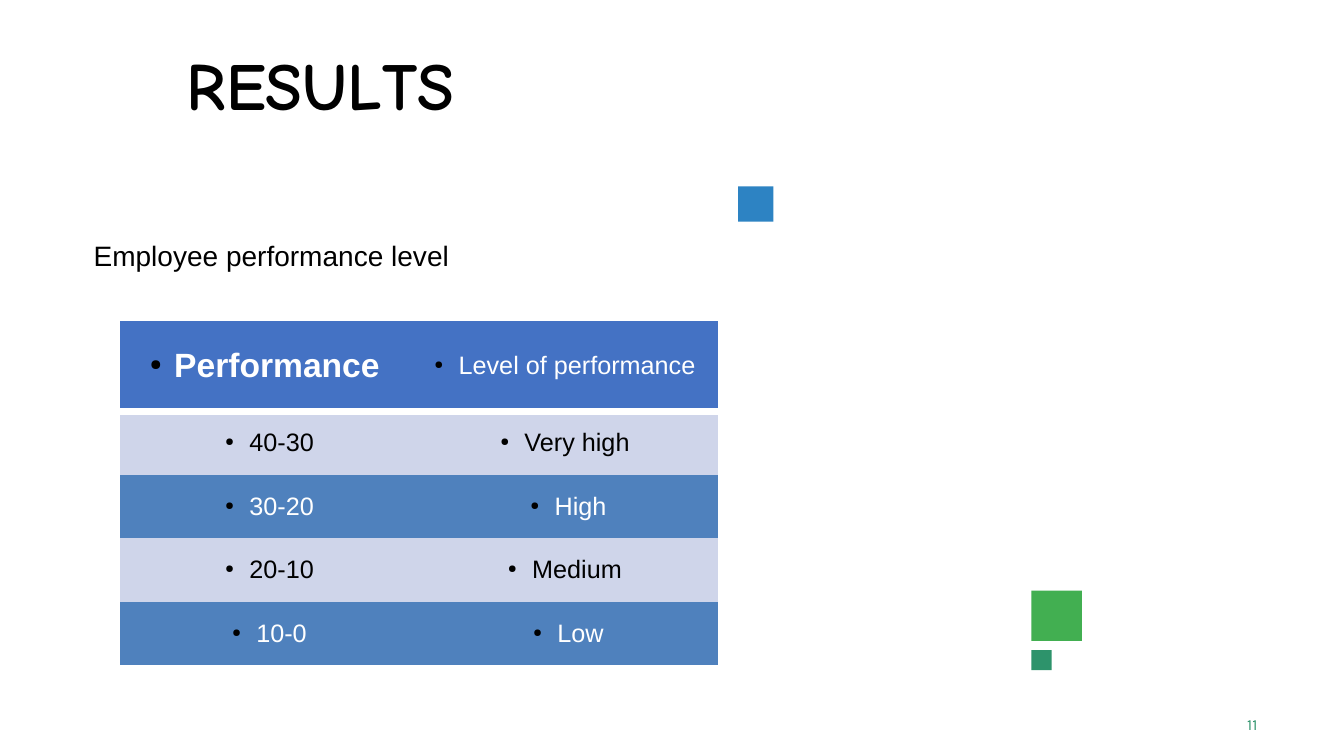
"""Build the employee performance results slide."""
import dataclasses

import lxml.etree
import pptx
import pptx.dml.color
import pptx.enum.shapes
import pptx.enum.text
import pptx.oxml.ns
import pptx.util

PX = 9144
QN = pptx.oxml.ns.qn
NO_GRID_STYLE = "{2D5ABB26-0587-4C30-8999-92F81FD0307C}"


@dataclasses.dataclass(frozen=True)
class Theme:
    """Colours, fonts and type sizes of the slide."""
    ink: str = "000000"
    white: str = "FFFFFF"
    blue: str = "2D83C3"
    green: str = "42AF51"
    teal: str = "2D936B"
    header: str = "4472C4"
    light_row: str = "CFD5EA"
    dark_row: str = "4F81BD"
    title_font: str = "Comic Neue"
    body_font: str = "Arial"
    number_font: str = "Karla"
    title_size: int = 48
    header_size: int = 24
    caption_size: int = 20
    cell_size: int = 18
    number_size: int = 11


THEME = Theme()
TITLE_SPACING = [("R", 0), ("E", -40), ("S", 10), ("U", -30), ("L", -400), ("TS", 0)]
LEVELS = [
    ("Performance ", "Level of performance "),
    ("40-30", "Very high "),
    ("30-20", "High"),
    ("20-10", "Medium "),
    ("10-0", "Low"),
]
SQUARES = [
    ((1023, 586, 50, 50), THEME.green),
    ((732, 185, 35, 35), THEME.blue),
    ((1023, 645, 20, 20), THEME.teal),
]


def emu(box):
    """Turn px lengths into EMU."""
    return [pptx.util.Emu(length * PX) for length in box]


def rgb(colour):
    """Give the RGB colour for a hex string."""
    return pptx.dml.color.RGBColor.from_string(colour)


def set_font(paragraph, name, size, colour, bold=False):
    """Set the font of a paragraph."""
    font = paragraph.font
    font.name, font.size, font.bold = name, pptx.util.Pt(size), bold
    font.color.rgb = rgb(colour)


def set_margins(frame, left, top, right, bottom):
    """Set the insets of a text frame, in px."""
    (frame.margin_left, frame.margin_top,
     frame.margin_right, frame.margin_bottom) = emu((left, top, right, bottom))


def add_square(slide, box, colour):
    """Place one decorative square."""
    square = slide.shapes.add_shape(
        pptx.enum.shapes.MSO_SHAPE.RECTANGLE, *emu(box))
    square.shadow.inherit = False
    square.fill.solid()
    square.fill.fore_color.rgb = rgb(colour)
    square.line.fill.background()


def fill_title(slide, box):
    """Place the title with its letter spacing."""
    title = slide.shapes.title
    title.left, title.top, title.width, title.height = emu(box)
    frame = title.text_frame
    frame.word_wrap = True
    frame.auto_size = pptx.enum.text.MSO_AUTO_SIZE.SHAPE_TO_FIT_TEXT
    frame.vertical_anchor = pptx.enum.text.MSO_ANCHOR.TOP
    set_margins(frame, 0, 1, 0, 0)
    heading = frame.paragraphs[0]
    heading.alignment = pptx.enum.text.PP_ALIGN.CENTER
    heading.space_before = pptx.util.Pt(1.1)
    set_font(heading, THEME.title_font, THEME.title_size, THEME.ink, True)
    for letters, spacing in TITLE_SPACING:
        run = heading.add_run()
        run.text = letters
        run.font._element.set("spc", str(spacing))


def add_label(slide, box, text, margins, font, size, colour):
    """Place a one-line text box."""
    frame = slide.shapes.add_textbox(*emu(box)).text_frame
    frame.word_wrap = True
    frame.auto_size = pptx.enum.text.MSO_AUTO_SIZE.SHAPE_TO_FIT_TEXT
    set_margins(frame, *margins)
    label = frame.paragraphs[0]
    label.text = text
    set_font(label, font, size, colour)


def add_bullet(paragraph):
    """Give a paragraph a small hanging dot."""
    properties = paragraph._p.get_or_add_pPr()
    properties.set("marL", str(24 * PX))
    properties.set("indent", str(-24 * PX))
    colour = lxml.etree.SubElement(properties, QN("a:buClr"))
    lxml.etree.SubElement(colour, QN("a:srgbClr"), val=THEME.ink)
    lxml.etree.SubElement(properties, QN("a:buSzPct"), val="45000")
    lxml.etree.SubElement(properties, QN("a:buChar"), char="●")


def add_bottom_border(cell, colour, points):
    """Draw a line along the bottom of a cell."""
    border = lxml.etree.Element(QN("a:lnB"), w=str(pptx.util.Pt(points)))
    fill = lxml.etree.SubElement(border, QN("a:solidFill"))
    lxml.etree.SubElement(fill, QN("a:srgbClr"), val=colour)
    cell._tc.get_or_add_tcPr().insert(0, border)


def fill_cell(cell, text, fill, size, colour, bold):
    """Write and colour one table cell."""
    cell.fill.solid()
    cell.fill.fore_color.rgb = rgb(fill)
    cell.vertical_anchor = pptx.enum.text.MSO_ANCHOR.MIDDLE
    entry = cell.text_frame.paragraphs[0]
    entry.text = text
    entry.alignment = pptx.enum.text.PP_ALIGN.CENTER
    set_font(entry, THEME.body_font, size, colour, bold)
    add_bullet(entry)


def add_levels_table(slide, box, header_height):
    """Place the table of performance levels."""
    height = box[3]
    levels = slide.shapes.add_table(len(LEVELS), 2, *emu(box)).table
    levels.first_row = levels.horz_banding = False
    levels._tbl.tblPr.find(QN("a:tableStyleId")).text = NO_GRID_STYLE
    row_height = (height - header_height) // (len(LEVELS) - 1)
    for row, texts in enumerate(LEVELS):
        is_header = row == 0
        levels.rows[row].height = emu([header_height if is_header else row_height])[0]
        if is_header:
            fill, colour = THEME.header, THEME.white
        elif row % 2:
            fill, colour = THEME.light_row, THEME.ink
        else:
            fill, colour = THEME.dark_row, THEME.white
        for column, text in enumerate(texts):
            leading = is_header and column == 0
            size = THEME.header_size if leading else THEME.cell_size
            cell = levels.cell(row, column)
            fill_cell(cell, text, fill, size, colour, leading)
            if is_header:
                add_bottom_border(cell, THEME.white, 6)


def build_results(slide):
    """Place every part of the results slide."""
    for box, colour in SQUARES:
        add_square(slide, box, colour)
    fill_title(slide, (83, 42, 470, 82))
    add_label(slide, (1233, 708, 25, 22), "11", (4, 1, 0, 0),
              THEME.number_font, THEME.number_size, THEME.teal)
    add_label(slide, (83, 232, 1026, 44), "Employee performance level", (10, 5, 10, 5),
              THEME.body_font, THEME.caption_size, THEME.ink)
    add_levels_table(slide, (119, 318, 593, 342), 90)


def main():
    """Create and save the presentation."""
    deck = pptx.Presentation()
    deck.slide_width, deck.slide_height = emu((1333, 750))
    build_results(deck.slides.add_slide(deck.slide_layouts[5]))
    deck.save("out.pptx")


if __name__ == "__main__":
    main()
